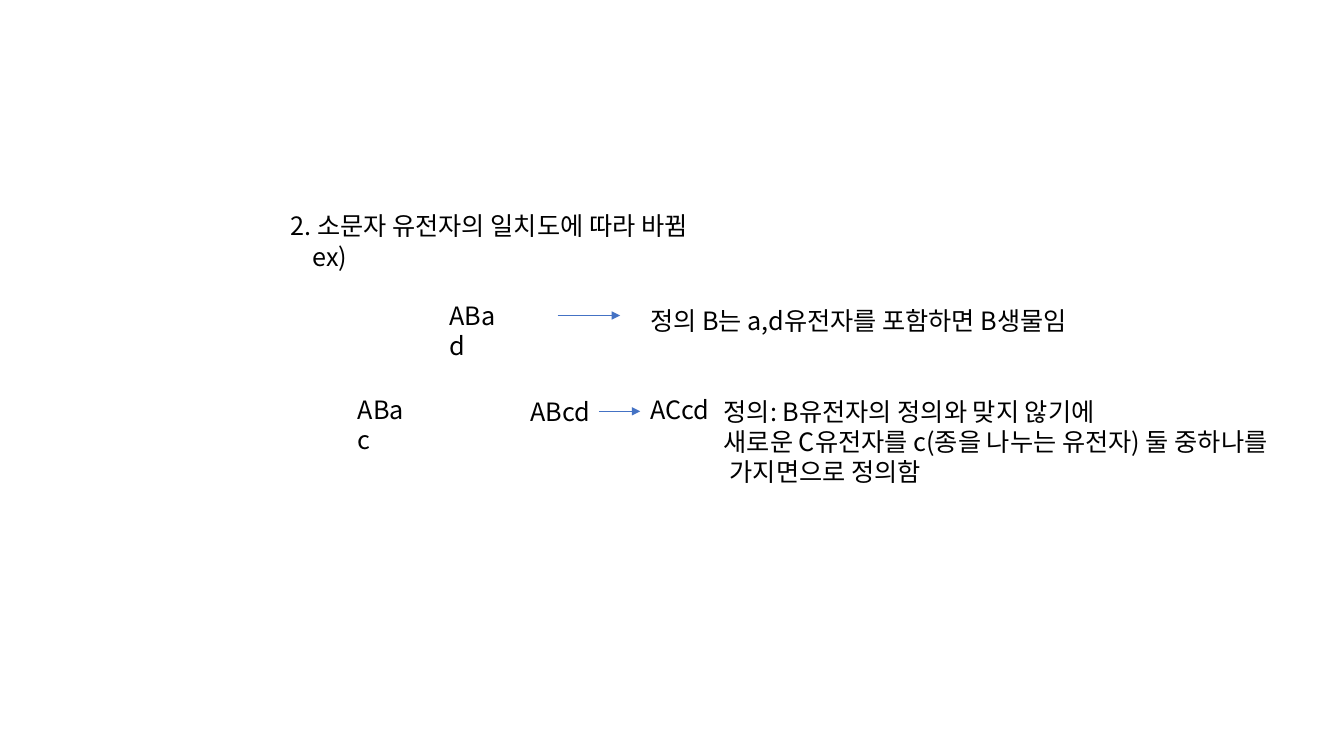
from pptx import Presentation
from pptx.dml.color import RGBColor
from pptx.enum.shapes import MSO_CONNECTOR
from pptx.enum.text import MSO_ANCHOR, MSO_AUTO_SIZE, PP_ALIGN
from pptx.oxml.ns import qn
from pptx.util import Inches, Pt
from lxml.etree import SubElement

FONT = "Noto Sans CJK KR"


def color(value):
    """Turn a hex string into a colour."""
    return RGBColor.from_string(value)


def add_text(s, box, lines, sp=None, size=18, fill="000000", indents=()):
    """Write lines, one paragraph each, in a new text box or the given shape."""
    sp = sp or s.shapes.add_textbox(0, 0, 0, 0)
    sp.left, sp.top, sp.width, sp.height = map(Inches, box)
    tf = sp.text_frame
    tf.word_wrap = False
    tf.auto_size = MSO_AUTO_SIZE.SHAPE_TO_FIT_TEXT
    tf.vertical_anchor = MSO_ANCHOR.TOP
    for i, line in enumerate(lines):
        p = tf.paragraphs[0] if i == 0 else tf.add_paragraph()
        p.alignment = PP_ALIGN.LEFT
        if i < len(indents):
            p._p.get_or_add_pPr().set("marL", str(Inches(indents[i])))
        r = p.add_run()
        r.text = line
        r.font.size = Pt(size)
        r.font.name = FONT
        r.font.color.rgb = color(fill)
        SubElement(r._r.get_or_add_rPr(), qn("a:ea"), typeface=FONT)
    return sp


def add_arrow(s, x, y, length, fill="4472C4"):
    """Draw a thin arrow pointing right."""
    cn = s.shapes.add_connector(MSO_CONNECTOR.STRAIGHT, Inches(x), Inches(y),
                                Inches(x + length), Inches(y))
    cn.line.color.rgb = color(fill)
    cn.line.width = Pt(0.5)
    SubElement(cn.line._get_or_add_ln(), qn("a:tailEnd"), type="triangle")
    SubElement(cn._element.spPr, qn("a:effectLst"))


def heading(s, x, y, w, h):
    """Fill the title with the rule and its example label."""
    add_text(s, (x, y, w, h), ["2. 소문자 유전자의 일치도에 따라 바뀜", "ex)"],
             sp=s.shapes.title, indents=(0, 0.22))


def first_generation(s, x, y, w, h):
    """Place the parent gene and the definition of B."""
    add_text(s, (x, y, 0.8, h), ["ABad"])
    add_arrow(s, x + 1.17, y + 0.2, 0.62)
    add_text(s, (x + 1.99, y + 0.05, w - 1.99, h),
             ["정의 B는 a,d유전자를 포함하면 B생물임"])


def second_generation(s, x, y, w, h):
    """Place the offspring genes and the definition of C."""
    add_text(s, (x, y, 0.77, 0.4), ["ABac"])
    add_text(s, (x + 1.71, y + 0.02, 0.79, 0.4), ["ABcd"])
    add_arrow(s, x + 2.49, y + 0.22, 0.41)
    add_text(s, (x + 2.9, y, 0.8, 0.4), ["ACcd"])
    add_text(s, (x + 3.63, y + 0.02, w - 3.63, h - 0.02),
             ["정의: B유전자의 정의와 맞지 않기에",
              "새로운 C유전자를 c(종을 나누는 유전자) 둘 중하나를",
              "가지면으로 정의함"], indents=(0, 0, 0.06))


def main():
    """Build and save the slide."""
    prs = Presentation()
    prs.slide_width, prs.slide_height = Inches(13.33), Inches(7.5)
    s = prs.slides.add_slide(prs.slide_layouts[5])
    heading(s, 2.78, 2.04, 4.63, 0.71)
    first_generation(s, 4.36, 2.93, 6.72, 0.4)
    second_generation(s, 3.45, 3.86, 9.85, 1.03)
    prs.save("out.pptx")


main()
